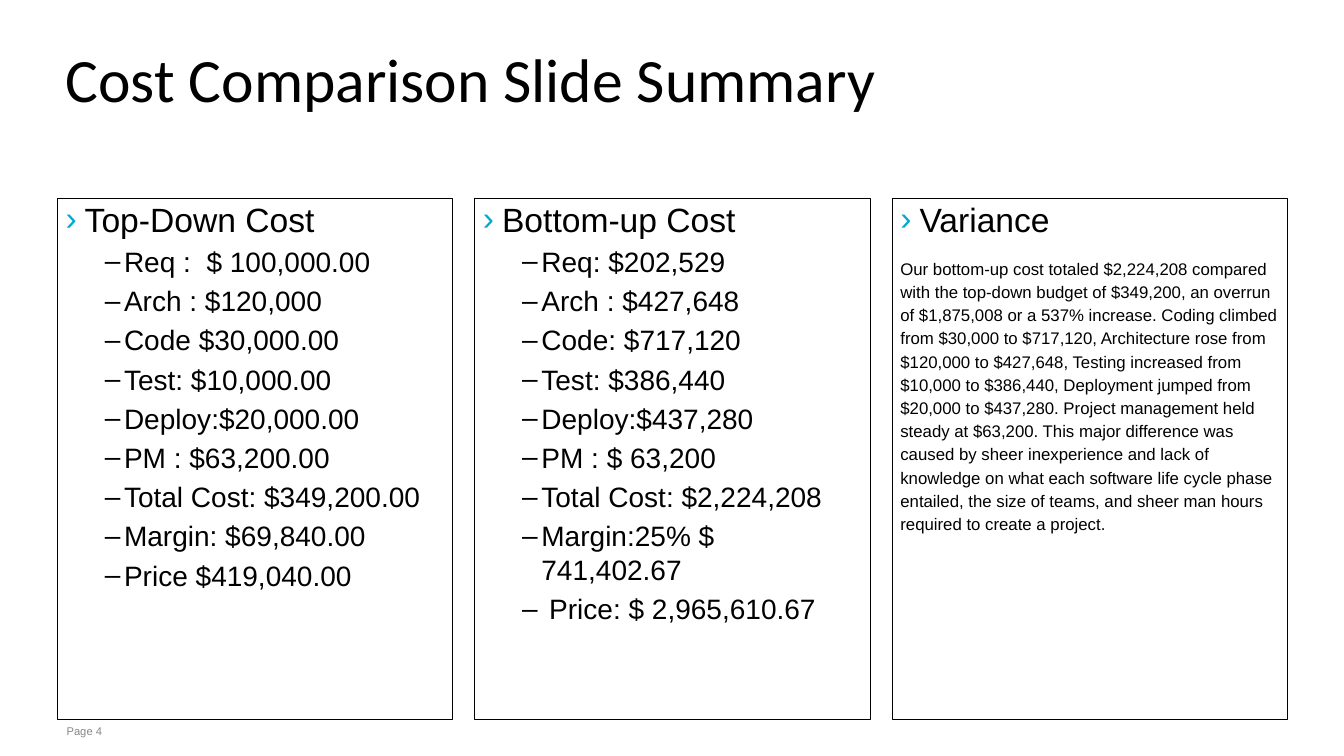
"""Build a cost comparison slide with three bordered panels."""
from dataclasses import dataclass

from lxml import etree
from pptx import Presentation
from pptx.dml.color import RGBColor
from pptx.enum.shapes import MSO_SHAPE
from pptx.enum.text import MSO_ANCHOR, MSO_AUTO_SIZE, PP_ALIGN
from pptx.oxml.ns import qn
from pptx.util import Inches, Pt

RECTANGLE = MSO_SHAPE.RECTANGLE
TOP, MIDDLE = MSO_ANCHOR.TOP, MSO_ANCHOR.MIDDLE
NO_AUTOFIT = MSO_AUTO_SIZE.NONE
LEFT = PP_ALIGN.LEFT


@dataclass(frozen=True)
class Theme:
    ink: str = "000000"
    accent: str = "00A9D4"
    muted: str = "87888A"
    heading_font: str = "Calibri"
    body_font: str = "Arial"
    title_size: int = 44
    heading_size: int = 24
    item_size: int = 20
    note_size: int = 12
    footer_size: int = 8


THEME = Theme()


def set_up_frame(box, anchor=TOP, inset=0):
    frame = box.text_frame
    frame.word_wrap = True
    frame.auto_size = NO_AUTOFIT
    frame.vertical_anchor = anchor
    frame.margin_left = frame.margin_right = Inches(0.08)
    frame.margin_top = frame.margin_bottom = Inches(inset)
    return frame


def write(frame, text, size, font=THEME.body_font, color=THEME.ink, level=0,
          before=0, line_spacing=1.0, bullet=None, bullet_color=THEME.ink, indent=0):
    para = frame.paragraphs[0]
    if para.runs:
        para = frame.add_paragraph()
    para.alignment = LEFT
    para.level = level
    para.space_before = Pt(before)
    para.line_spacing = line_spacing
    span = para.add_run()
    span.text = text
    span.font.size = Pt(size)
    span.font.name = font
    span.font.color.rgb = RGBColor.from_string(color)
    if bullet:
        properties = para._p.get_or_add_pPr()
        properties.set("marL", str(Inches(indent)))
        properties.set("indent", str(Inches(-0.19)))
        tint = etree.SubElement(properties, qn("a:buClr"))
        etree.SubElement(tint, qn("a:srgbClr"), val=bullet_color)
        etree.SubElement(properties, qn("a:buFont"), typeface=THEME.body_font)
        etree.SubElement(properties, qn("a:buChar"), char=bullet)


PANELS = [
    ("Top-Down Cost", [
        "Req :  $ 100,000.00", "Arch : $120,000", "Code $30,000.00",
        "Test: $10,000.00", "Deploy:$20,000.00", "PM : $63,200.00",
        "Total Cost: $349,200.00", "Margin: $69,840.00", "Price $419,040.00"], ""),
    ("Bottom-up Cost", [
        "Req: $202,529", "Arch : $427,648", "Code: $717,120",
        "Test: $386,440", "Deploy:$437,280", "PM : $ 63,200",
        "Total Cost: $2,224,208", "Margin:25% $ 741,402.67",
        " Price: $ 2,965,610.67"], ""),
    ("Variance", [],
        "Our bottom-up cost totaled $2,224,208 compared with the top-down budget of "
        "$349,200, an overrun of $1,875,008 or a 537% increase. Coding climbed from "
        "$30,000 to $717,120, Architecture rose from $120,000 to $427,648, Testing "
        "increased from $10,000 to $386,440, Deployment jumped from $20,000 to "
        "$437,280. Project management held steady at $63,200. This major difference "
        "was caused by sheer inexperience and lack of knowledge on what each software "
        "life cycle phase entailed, the size of teams, and sheer man hours required "
        "to create a project."),
]

deck = Presentation()
deck.slide_width, deck.slide_height = Inches(13.33), Inches(7.5)
page = deck.slides.add_slide(deck.slide_layouts[5])

title = page.shapes.title
title.left, title.top = Inches(0.57), Inches(0.26)
title.width, title.height = Inches(10.93), Inches(1.19)
write(set_up_frame(title, anchor=MIDDLE), "Cost Comparison Slide Summary",
      THEME.title_size, font=THEME.heading_font, line_spacing=0.75)

for column, (heading, items, note) in enumerate(PANELS):
    panel = page.shapes.add_shape(RECTANGLE, Inches(0.57 + 4.14 * column),
                                  Inches(1.97), Inches(3.92), Inches(5.17))
    panel.shadow.inherit = False
    panel.fill.background()
    panel.line.color.rgb = RGBColor.from_string(THEME.ink)
    panel.line.width = Pt(0.75)
    frame = set_up_frame(panel)
    write(frame, heading, THEME.heading_size, bullet="›",
          bullet_color=THEME.accent, indent=0.19)
    for item in items:
        write(frame, item, THEME.item_size, level=1, before=4, bullet="–", indent=0.58)
    if note:
        write(frame, note, THEME.note_size, before=12, line_spacing=1.15)

footer = page.shapes.add_textbox(Inches(0.58), Inches(7.14), Inches(10.79), Inches(0.24))
write(set_up_frame(footer, inset=0.05), "Page 4", THEME.footer_size, color=THEME.muted)

deck.save("out.pptx")
